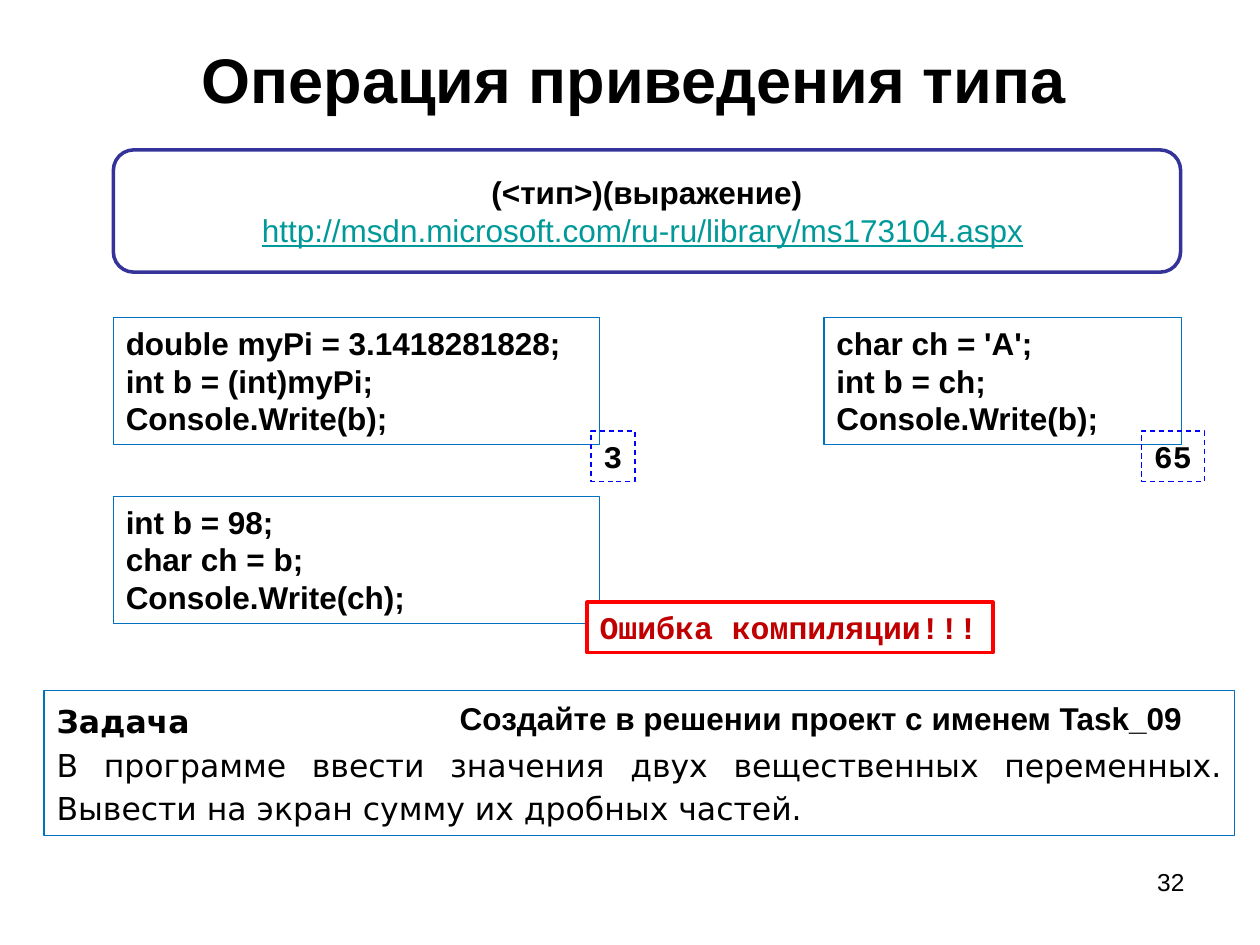
from pptx import Presentation
from pptx.dml.color import RGBColor
from pptx.enum.dml import MSO_LINE
from pptx.enum.shapes import MSO_SHAPE
from pptx.enum.text import MSO_ANCHOR, MSO_AUTO_SIZE, PP_ALIGN
from pptx.util import Inches, Pt

LEFT, CENTER, RIGHT, JUSTIFY = PP_ALIGN.LEFT, PP_ALIGN.CENTER, PP_ALIGN.RIGHT, PP_ALIGN.JUSTIFY
TOP, MIDDLE = MSO_ANCHOR.TOP, MSO_ANCHOR.MIDDLE
RECTANGLE, ROUNDED = MSO_SHAPE.RECTANGLE, MSO_SHAPE.ROUNDED_RECTANGLE
DASH = MSO_LINE.DASH
NO_AUTOFIT, GROW = MSO_AUTO_SIZE.NONE, MSO_AUTO_SIZE.SHAPE_TO_FIT_TEXT


def color(value):
    return RGBColor.from_string(value)


def add_box(place, lines, preset=None, fill=None, line=None, width=0.75, font="Arial",
            size=18, bold=True, text_color="000000", align=LEFT, anchor=TOP,
            wrap=True, grow=True, spacing=None):
    """Add a text box, or an outlined shape when a preset is given."""
    position = [Inches(value) for value in place]
    if preset is None:
        shape = slide.shapes.add_textbox(*position)
    else:
        shape = slide.shapes.add_shape(preset, *position)
        shape.shadow.inherit = False
        shape.line.color.rgb = color(line)
        shape.line.width = Pt(width)
        if fill:
            shape.fill.solid()
            shape.fill.fore_color.rgb = color(fill)
        else:
            shape.fill.background()
    frame = shape.text_frame
    frame.text = "\n".join(lines)
    frame.word_wrap = wrap
    frame.auto_size = GROW if grow else NO_AUTOFIT
    frame.vertical_anchor = anchor
    for paragraph in frame.paragraphs:
        paragraph.alignment = align
        paragraph.line_spacing = spacing
        paragraph.font.name = font
        paragraph.font.size = Pt(size)
        paragraph.font.bold = bold
        paragraph.font.color.rgb = color(text_color)
    return shape


presentation = Presentation()
presentation.slide_width = Inches(10)
presentation.slide_height = Inches(7.5)
slide = presentation.slides.add_slide(presentation.slide_layouts[6])

# Title and slide number
add_box((0.53, 0.28, 9, 0.69), ["Операция приведения типа"], size=36,
        align=CENTER, anchor=MIDDLE, grow=False)
add_box((7.17, 6.83, 2.33, 0.52), ["32"], size=14, bold=False, align=RIGHT, grow=False)

# Cast syntax with its reference address
syntax = add_box((0.9, 1.19, 8.47, 0.97), ["(<тип>)(выражение)"], ROUNDED, "FFFFFF", "333399", 2,
                 align=CENTER, anchor=MIDDLE, grow=False)
address = syntax.text_frame.add_paragraph()
address.alignment = CENTER
address.font.name = "Arial"
address.font.size = Pt(18)
address_run = address.add_run()
address_run.text = "http://msdn.microsoft.com/ru-ru/library/ms173104.aspx"
address_run.font.underline = True
address_run.font.color.rgb = color("009999")
address.add_run().text = " "

# Task
task = add_box((0.35, 5.48, 9.45, 1.15),
               ["Задача",
                "В программе ввести значения двух вещественных переменных. "
                "Вывести на экран сумму их дробных частей."],
               RECTANGLE, line="0070C0", font="DejaVu Sans", align=JUSTIFY, spacing=1.15)
task.text_frame.paragraphs[1].font.bold = False

# Code samples
samples = [
    (0.9, 2.52, 3.86, ["double myPi = 3.1418281828;", "int b = (int)myPi;", "Console.Write(b);"]),
    (6.54, 2.52, 2.84, ["char ch = 'A';", "int b = ch;", "Console.Write(b);"]),
    (0.9, 3.94, 3.86, ["int b = 98;", "char ch = b;", "Console.Write(ch);"]),
]
for left, top, width, code in samples:
    add_box((left, top, width, 1.01), code, RECTANGLE, line="0070C0")

# Printed results
for left, width, result in [(4.69, 0.35, "3"), (9.06, 0.5, "65")]:
    output = add_box((left, 3.42, width, 0.4), [result], RECTANGLE, line="0000FF",
                     font="Courier New", wrap=False)
    output.line.dash_style = DASH

# Compilation error
add_box((4.66, 4.78, 3.22, 0.4), ["Ошибка компиляции!!!"], RECTANGLE, "FFFFFF", "FF0000", 2,
        font="Courier New", text_color="C00000", wrap=False)

# Project name
add_box((3.55, 5.56, 6.25, 0.34), ["Создайте в решении проект с именем Task_09"], spacing=0.8)

presentation.save("out.pptx")
